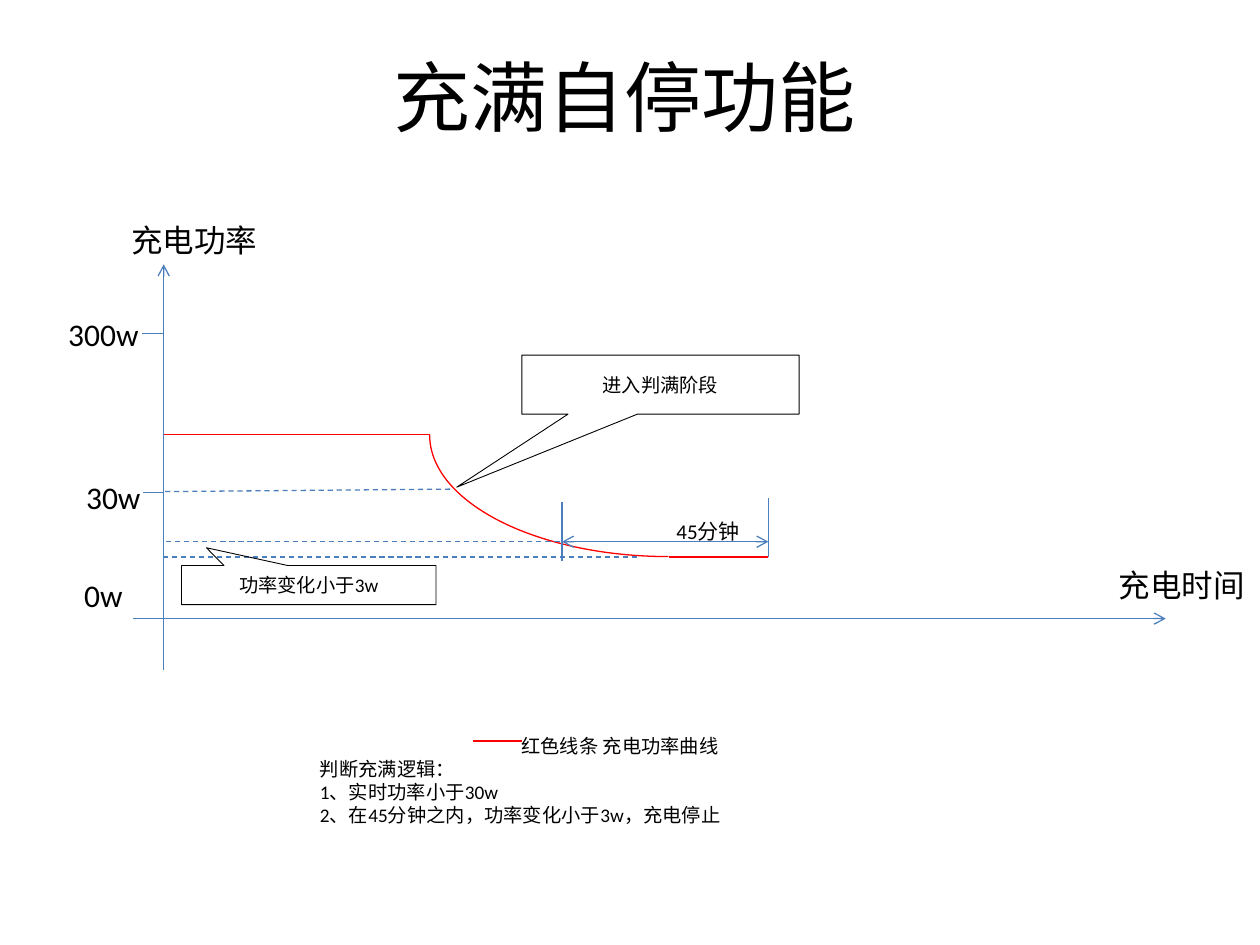
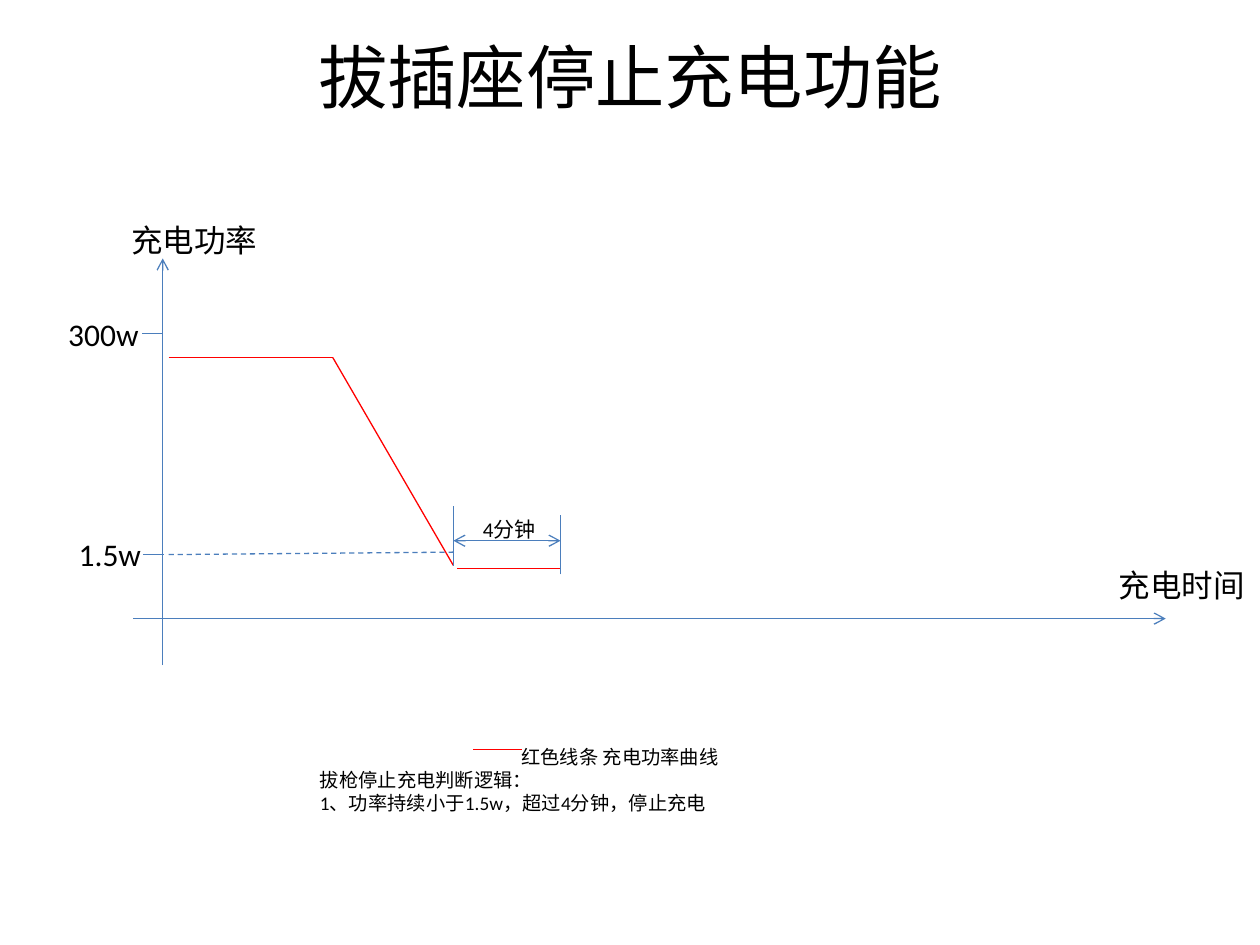
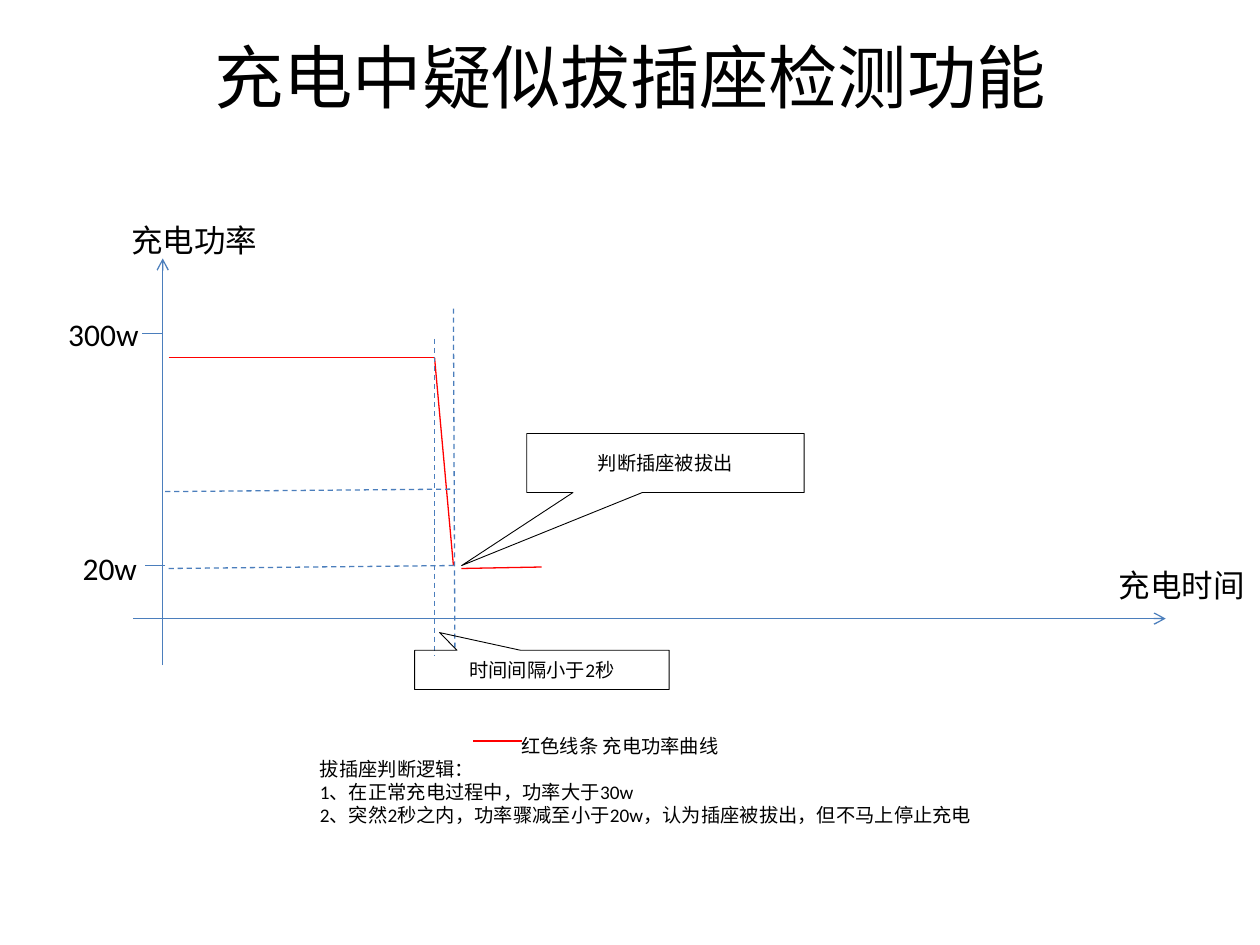
from pptx import Presentation
from pptx.dml.color import RGBColor
from pptx.enum.dml import MSO_LINE_DASH_STYLE as DASH
from pptx.enum.shapes import MSO_CONNECTOR as CONN, MSO_SHAPE as SHAPE
from pptx.enum.text import MSO_ANCHOR as ANCHOR, PP_ALIGN as ALIGN
from pptx.oxml.ns import qn
from pptx.util import Cm, Pt
from lxml import etree

BLUE, RED, BLACK = "4B7EBC", "FF0000", "000000"
FONT = "Calibri"
LEGEND = "红色线条 充电功率曲线"
rgb = RGBColor.from_string


def add_line(s, ends, color=BLUE, dash=False, arrows=()):
    ln = s.shapes.add_connector(CONN.STRAIGHT, *[Cm(v) for v in ends])
    ln.line.color.rgb = rgb(color)
    ln.line.width = Pt(0.75)
    if dash:
        ln.line.dash_style = DASH.DASH
    for end in arrows:
        etree.SubElement(ln.line._get_or_add_ln(), qn(f"a:{end}"), type="arrow")
    etree.SubElement(ln._element.spPr, qn("a:effectLst"))


def set_text(sp, text, size, align=ALIGN.CENTER, anchor=ANCHOR.MIDDLE):
    tf = sp.text_frame
    tf.text = text
    tf.word_wrap = True
    tf.vertical_anchor = anchor
    for p in tf.paragraphs:
        p.alignment = align
        for r in p.runs:
            r.font.name = FONT
            r.font.size = Pt(size)
            r.font.color.rgb = rgb(BLACK)


charts = [
    {
        "title": ("充满自停功能", 1.17, 0.33, 44),
        "axis": (3.3, 13.51, 3.3, 5.33),
        "levels": [("30w", 1.09, 9.12), ("0w", 0.89, 10.69)],
        "tick": (3.3, 9.93),
        "curve": [(3.3, 8.76, 8.66, 8.76), (13.49, 11.23, 15.49, 11.23)],
        "dashes": [(3.33, 9.91, 9.09, 9.86), (3.35, 10.92, 11.33, 10.92),
                   (3.28, 11.23, 12.9, 11.23)],
        "limits": [(11.33, 11.3, 11.33, 10.11), (15.49, 11.23, 15.49, 10.03)],
        "span": (11.33, 10.92, 15.49, 10.92),
        "duration": ("45分钟", 13.08, 10.13),
        "callouts": [("功率变化小于3w", 3.66, 11.4), ("进入判满阶段", 10.52, 7.16)],
        "notes": ["判断充满逻辑：", "1、实时功率小于30w",
                  "2、在45分钟之内，功率变化小于3w，充电停止"],
        "notes_width": 12.8,
        "legend_y": 14.94,
    },
    {
        "title": ("拔插座停止充电功能", 1.27, 0.76, 39.6),
        "axis": (3.28, 13.41, 3.28, 5.21),
        "levels": [("1.5w", 1.02, 10.26)],
        "tick": (3.3, 11.18),
        "curve": [(3.4, 7.21, 6.71, 7.21), (6.71, 7.21, 9.14, 11.4),
                  (9.22, 11.46, 11.3, 11.46)],
        "dashes": [(3.4, 11.18, 9.17, 11.13)],
        "limits": [(9.14, 11.4, 9.14, 10.21), (11.3, 11.58, 11.3, 10.39)],
        "span": (9.14, 10.9, 11.3, 10.9),
        "duration": ("4分钟", 9.07, 10.08),
        "callouts": [],
        "notes": ["拔枪停止充电判断逻辑：", "1、功率持续小于1.5w，超过4分钟，停止充电"],
        "notes_width": 14.1,
        "legend_y": 15.11,
    },
    {
        "title": ("充电中疑似拔插座检测功能", 1.27, 0.76, 39.6),
        "axis": (3.28, 13.41, 3.28, 5.21),
        "levels": [("20w", 1.02, 10.54)],
        "tick": (3.33, 11.4),
        "curve": [(3.4, 7.21, 8.76, 7.21), (8.76, 7.21, 9.14, 11.4),
                  (9.3, 11.46, 10.92, 11.43)],
        "dashes": [(8.76, 6.83, 8.76, 13.23), (9.14, 6.22, 9.17, 13.11),
                   (3.4, 11.46, 9.17, 11.4), (3.33, 9.91, 9.09, 9.86)],
        "limits": [],
        "span": None,
        "duration": None,
        "callouts": [("时间间隔小于2秒", 8.36, 13.11), ("判断插座被拔出", 10.62, 8.74)],
        "notes": ["拔插座判断逻辑：", "1、在正常充电过程中，功率大于30w",
                  "2、突然2秒之内，功率骤减至小于20w，认为插座被拔出，但不马上停止充电"],
        "notes_width": 14.1,
        "legend_y": 14.94,
    },
]
callout_styles = [(5.13, 0.79, -0.402, -0.953), (5.59, 1.19, -0.735, 1.737)]

prs = Presentation()
prs.slide_width, prs.slide_height = Cm(25.4), Cm(19.05)

for chart in charts:
    s = prs.slides.add_slide(prs.slide_layouts[5])
    text, x, y, size = chart["title"]
    title = s.shapes.title
    title.left, title.top, title.width, title.height = Cm(x), Cm(y), Cm(22.86), Cm(3.18)
    set_text(title, text, size)
    if size < 44:
        title.text_frame.margin_top = 0
        title.text_frame.margin_bottom = Cm(1.63)

    add_line(s, chart["axis"], arrows=["tailEnd"])
    add_line(s, (2.69, 12.47, 23.5, 12.47), arrows=["tailEnd"])
    for x, y in [(3.28, 6.73), chart["tick"]]:
        add_line(s, (x, y, x - 0.41, y))

    labels = [("充电功率", 2.11, 3.94, 3.61), ("充电时间", 22.25, 10.9, 3.15)]
    labels += [(*level, 2.39) for level in [("300w", 0.89, 5.84), *chart["levels"]]]
    for text, x, y, w in labels:
        tb = s.shapes.add_textbox(Cm(x), Cm(y), Cm(w), Cm(1.8))
        set_text(tb, text, 18, anchor=ANCHOR.BOTTOM if text == "0w" else ANCHOR.MIDDLE)

    for ends in chart["curve"]:
        add_line(s, ends, RED)
    if chart is charts[0]:
        arc = s.shapes.add_shape(SHAPE.ARC, Cm(8.66), Cm(6.32), Cm(9.63), Cm(4.9))
        arc.rotation = 180
        arc.shadow.inherit = False
        arc.fill.background()
        arc.line.color.rgb = rgb(RED)
        arc.line.width = Pt(0.75)
    for ends in chart["dashes"]:
        add_line(s, ends, dash=True)
    for ends in chart["limits"]:
        add_line(s, ends)

    if chart["span"]:
        add_line(s, chart["span"], arrows=["headEnd", "tailEnd"])
        text, x, y = chart["duration"]
        set_text(s.shapes.add_textbox(Cm(x), Cm(y), Cm(2.39), Cm(1.17)), text, 12)

    for (text, x, y), (w, h, dx, dy) in zip(chart["callouts"], callout_styles):
        sp = s.shapes.add_shape(SHAPE.RECTANGULAR_CALLOUT, Cm(x), Cm(y), Cm(w), Cm(h))
        sp.adjustments[0], sp.adjustments[1] = dx, dy
        sp.shadow.inherit = False
        sp.fill.background()
        sp.line.color.rgb = rgb(BLACK)
        sp.line.width = Pt(0.5)
        set_text(sp, text, 11)

    notes = s.shapes.add_textbox(Cm(6.2), Cm(14.53), Cm(chart["notes_width"]), Cm(2.39))
    set_text(notes, "\n".join([LEGEND, *chart["notes"]]), 11, ALIGN.LEFT)
    pPr = notes.text_frame.paragraphs[0]._p.get_or_add_pPr()
    pPr.set("indent", str(Cm(4.06)))
    add_line(s, (10.52, chart["legend_y"], 9.53, chart["legend_y"]), RED)

prs.save("out.pptx")
